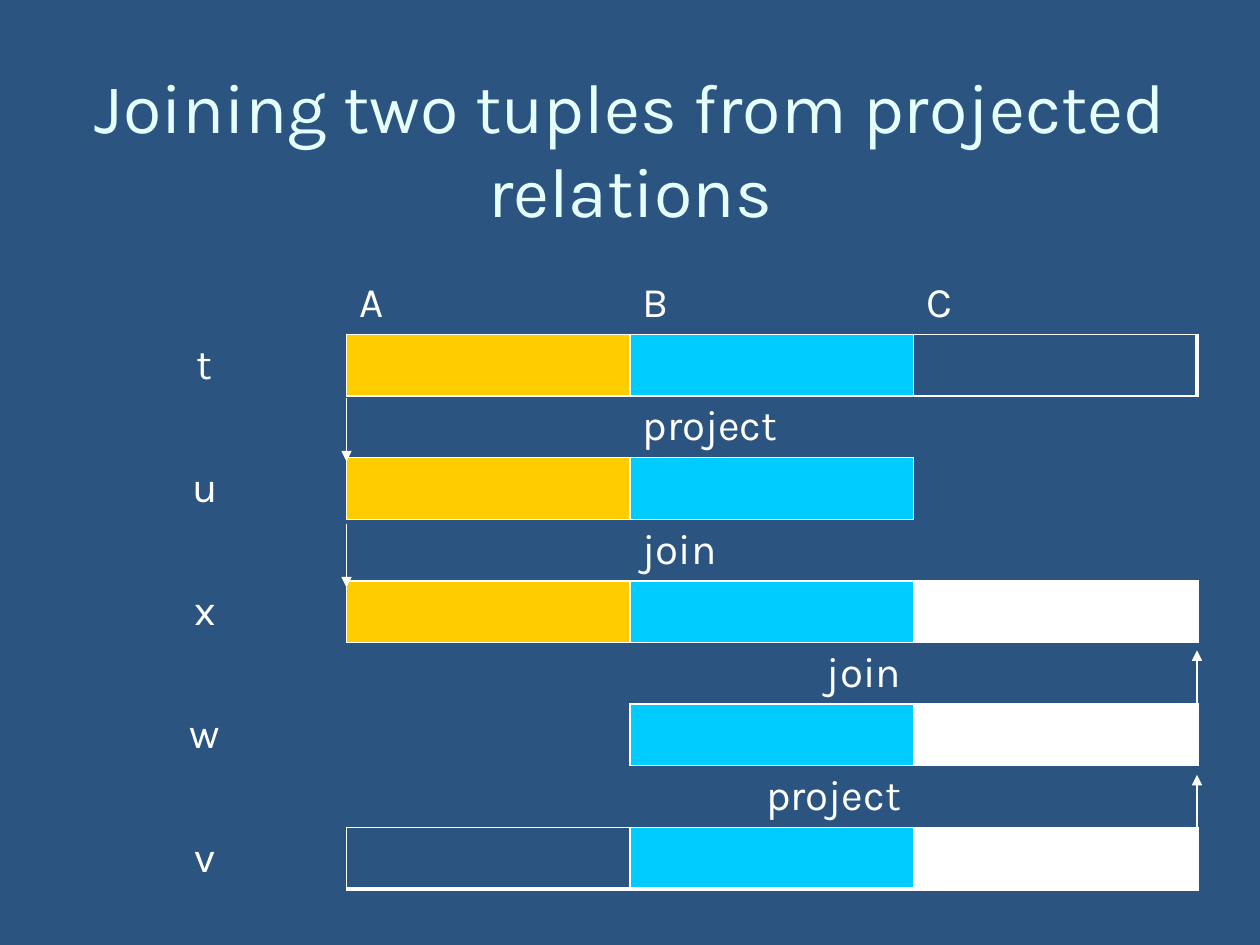
from pptx import Presentation
from pptx import util as u
from pptx.dml.color import RGBColor
from pptx.enum import shapes, text
from pptx.oxml.ns import qn
from lxml import etree

FONT = "Karla"
COLORS = {
    "background": "2B5481",
    "title": "E5FFFF",
    "white": "FFFFFF",
    "A": "FFCC00",
    "B": "00CCFF",
    "C": "FFFFFF",
}
LEFT, TOP, WIDTH, HEIGHT = 1.27, 5.5, 22.86, 12.7
ROW_HEIGHT = 1.09
COLUMN_WIDTH = WIDTH / 4
ATTRIBUTES = "ABC"

# Tuple name, attributes it has, attributes that are filled
TUPLES = [
    ("t", "ABC", "AB"),
    ("u", "AB", "AB"),
    ("x", "ABC", "ABC"),
    ("w", "BC", "BC"),
    ("v", "ABC", "BC"),
]
# Operation shown below each tuple but the last
OPERATIONS = [
    ("project", text.PP_ALIGN.LEFT),
    ("join", text.PP_ALIGN.LEFT),
    ("join", text.PP_ALIGN.RIGHT),
    ("project", text.PP_ALIGN.RIGHT),
]
SIDES = {"lnL": (0, -1), "lnR": (0, 1), "lnT": (-1, 0), "lnB": (1, 0)}


def rgb(name):
    return RGBColor.from_string(COLORS[name])


def format_paragraph(paragraph, size, color, alignment):
    paragraph.alignment = alignment
    paragraph.font.name = FONT
    paragraph.font.size = u.Pt(size)
    paragraph.font.color.rgb = rgb(color)


def add_title(slide, wording):
    title = slide.shapes.title
    title.left, title.top = u.Cm(1.27), u.Cm(1.07)
    title.width, title.height = u.Cm(22.86), u.Cm(3.81)
    frame = title.text_frame
    frame.text = wording
    frame.auto_size = text.MSO_AUTO_SIZE.NONE
    frame.vertical_anchor = text.MSO_ANCHOR.MIDDLE
    format_paragraph(frame.paragraphs[0], 40, "title", text.PP_ALIGN.CENTER)


def write_cell(cell, wording, alignment):
    cell.text = wording
    format_paragraph(cell.text_frame.paragraphs[0], 24, "white", alignment)


def set_border(cell, side, points):
    """Draw one side of a cell in white, or hide it when points is 0."""
    properties = cell._tc.get_or_add_tcPr()
    line = etree.SubElement(properties, qn(f"a:{side}"), w=str(u.Pt(points)))
    if points:
        fill = etree.SubElement(line, qn("a:solidFill"))
        etree.SubElement(fill, qn("a:srgbClr"), val=COLORS["white"])
    else:
        etree.SubElement(line, qn("a:noFill"))


def border_width(boxes, row, column, side, last_row):
    """Outline every tuple box, heavier along the right and bottom table edges."""
    down, right = SIDES[side]
    if (row, column) not in boxes and (row + down, column + right) not in boxes:
        return 0
    outer = (side == "lnR" and column == len(ATTRIBUTES)) or (
        side == "lnB" and row == last_row)
    return 2.25 if outer else 1


def add_tuple_table(slide):
    row_count = 2 * len(TUPLES)
    frame = slide.shapes.add_table(
        row_count, len(ATTRIBUTES) + 1,
        u.Cm(LEFT), u.Cm(TOP), u.Cm(WIDTH), u.Cm(HEIGHT))
    table = frame.table
    table.first_row = table.horz_banding = False
    for row in table.rows:
        row.height = u.Cm(ROW_HEIGHT)
    frame.height = u.Cm(HEIGHT)

    for column, attribute in enumerate(ATTRIBUTES, 1):
        write_cell(table.cell(0, column), attribute, text.PP_ALIGN.LEFT)
    for index, (operation, alignment) in enumerate(OPERATIONS):
        write_cell(table.cell(2 * index + 2, 2), operation, alignment)

    boxes = {}
    for index, (name, present, filled) in enumerate(TUPLES):
        row = 2 * index + 1
        write_cell(table.cell(row, 0), name, text.PP_ALIGN.CENTER)
        for attribute in present:
            column = ATTRIBUTES.index(attribute) + 1
            boxes[row, column] = attribute if attribute in filled else None

    for row in range(row_count):
        for column in range(len(ATTRIBUTES) + 1):
            cell = table.cell(row, column)
            for side in SIDES:
                points = border_width(boxes, row, column, side, row_count - 1)
                set_border(cell, side, points)
            color = boxes.get((row, column))
            if color:
                cell.fill.solid()
                cell.fill.fore_color.rgb = rgb(color)
            else:
                cell.fill.background()


def add_arrow(slide, x, start, end):
    arrow = slide.shapes.add_connector(
        shapes.MSO_CONNECTOR.STRAIGHT, u.Cm(x), u.Cm(start), u.Cm(x), u.Cm(end))
    arrow.line.color.rgb = rgb("white")
    arrow.line.width = u.Pt(0.75)
    etree.SubElement(arrow.line._get_or_add_ln(), qn("a:tailEnd"), type="triangle")
    etree.SubElement(arrow._element.spPr, qn("a:effectLst"))


def main():
    presentation = Presentation()
    presentation.slide_width, presentation.slide_height = u.Cm(25.4), u.Cm(19.05)
    slide = presentation.slides.add_slide(presentation.slide_layouts[5])
    slide.background.fill.solid()
    slide.background.fill.fore_color.rgb = rgb("background")

    add_title(slide, "Joining two tuples from projected relations")
    add_tuple_table(slide)

    first_x, last_x = LEFT + COLUMN_WIDTH, LEFT + WIDTH
    add_arrow(slide, first_x, 8.03, 9.3)
    add_arrow(slide, first_x, 10.57, 11.84)
    add_arrow(slide, last_x, 16.89, 15.62)
    add_arrow(slide, last_x, 14.35, 13.11)

    presentation.save("out.pptx")


if __name__ == "__main__":
    main()
